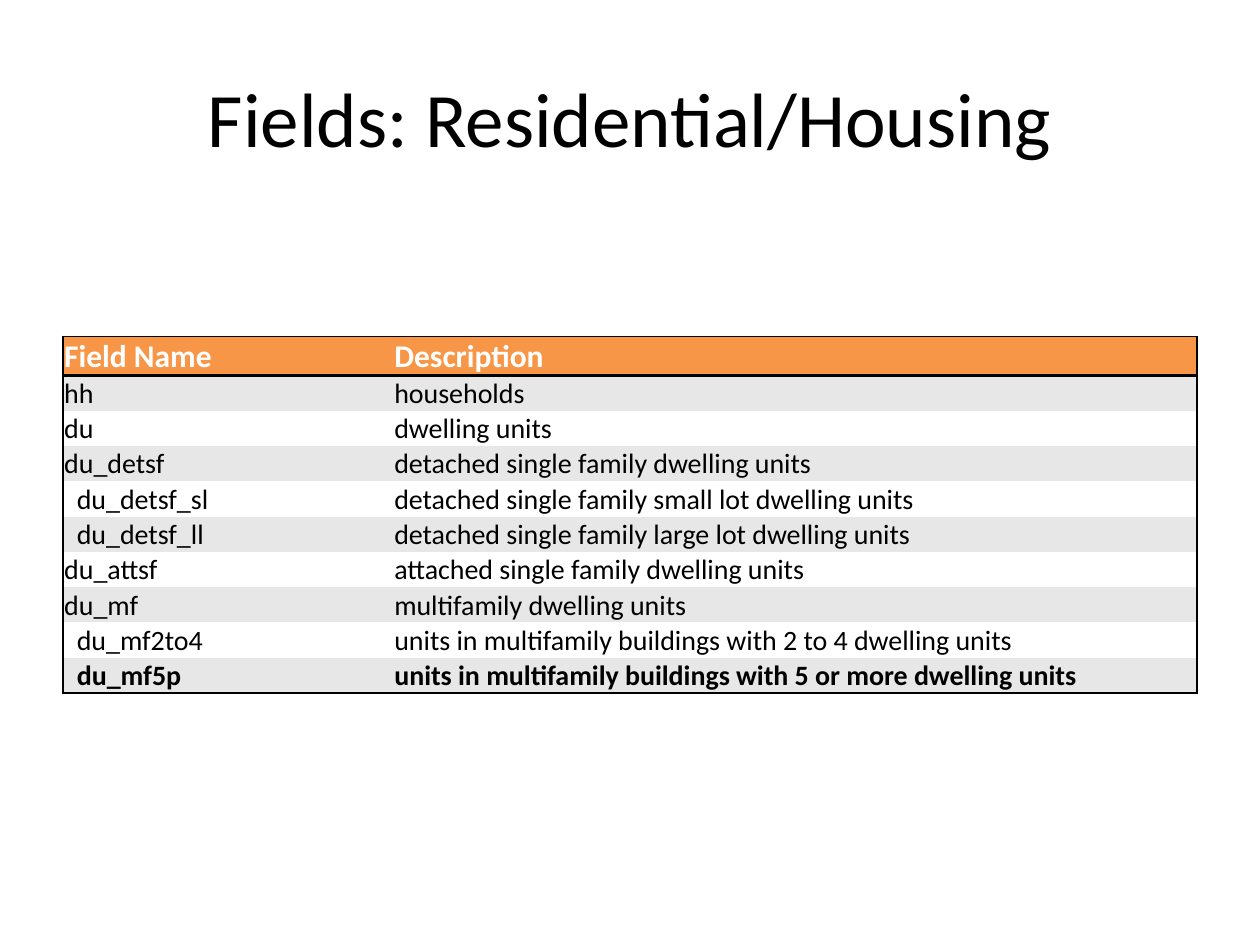
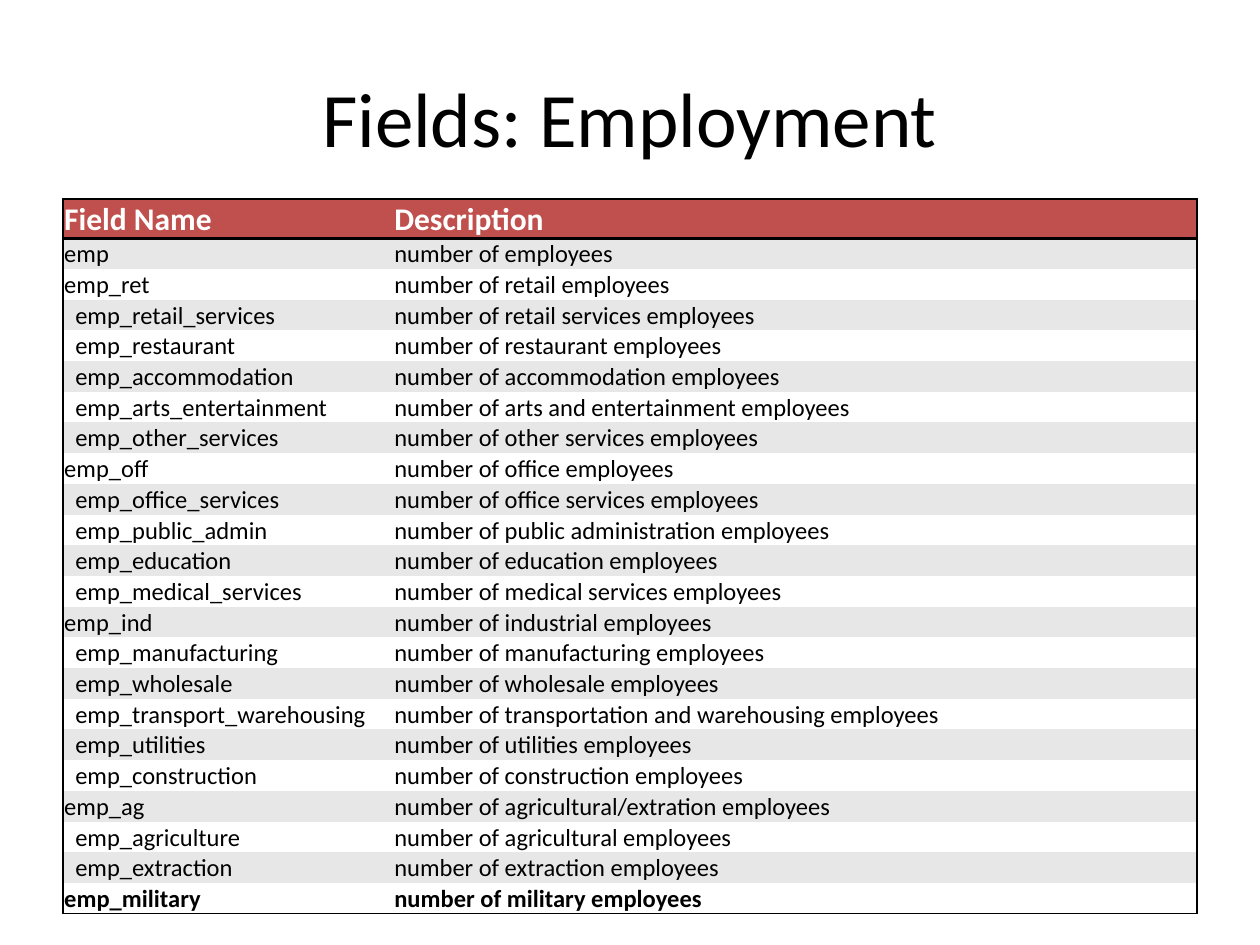
from pptx import Presentation
from pptx.dml.color import RGBColor
from pptx.enum.text import MSO_ANCHOR as Anchor, PP_ALIGN as Align
from pptx.oxml import parse_xml
from pptx.oxml.ns import nsdecls, qn
from pptx.util import Inches, Pt

BLACK, WHITE, BAND = "000000", "FFFFFF", "E7E7E7"
ORANGE, RED = "F79646", "C0504D"
PLAIN_TABLE_STYLE = "{2D5ABB26-0587-4C30-8999-92F81FD0307C}"
COLUMN_WIDTHS = (2.62, 6.38)
HEADINGS = ("Field Name", "Description")

# Each field: indent level, name, description
HOUSING_FIELDS = [
    (0, "hh", "households"),
    (0, "du", "dwelling units"),
    (0, "du_detsf", "detached single family dwelling units"),
    (1, "du_detsf_sl", "detached single family small lot dwelling units"),
    (1, "du_detsf_ll", "detached single family large lot dwelling units"),
    (0, "du_attsf", "attached single family dwelling units"),
    (0, "du_mf", "multifamily dwelling units"),
    (1, "du_mf2to4", "units in multifamily buildings with 2 to 4 dwelling units"),
    (1, "du_mf5p", "units in multifamily buildings with 5 or more dwelling units"),
]
EMPLOYMENT_FIELDS = [
    (level, name, f"number of {group}employees")
    for level, name, group in [
        (0, "emp", ""),
        (0, "emp_ret", "retail "),
        (1, "emp_retail_services", "retail services "),
        (1, "emp_restaurant", "restaurant "),
        (1, "emp_accommodation", "accommodation "),
        (1, "emp_arts_entertainment", "arts and entertainment "),
        (1, "emp_other_services", "other services "),
        (0, "emp_off", "office "),
        (1, "emp_office_services", "office services "),
        (1, "emp_public_admin", "public administration "),
        (1, "emp_education", "education "),
        (1, "emp_medical_services", "medical services "),
        (0, "emp_ind", "industrial "),
        (1, "emp_manufacturing", "manufacturing "),
        (1, "emp_wholesale", "wholesale "),
        (1, "emp_transport_warehousing", "transportation and warehousing "),
        (1, "emp_utilities", "utilities "),
        (1, "emp_construction", "construction "),
        (0, "emp_ag", "agricultural/extration "),
        (1, "emp_agriculture", "agricultural "),
        (1, "emp_extraction", "extraction "),
        (0, "emp_military", "military "),
    ]
]


def rgb(hex_color):
    return RGBColor.from_string(hex_color)


def apply(target, values):
    for name, value in values.items():
        setattr(target, name, value)


class FieldDeck:
    font_name = "Calibri"

    def __init__(self):
        self.prs = Presentation()
        apply(self.prs, {"slide_width": Inches(10), "slide_height": Inches(7.5)})
        self.slide = None

    def new_slide(self):
        self.slide = self.prs.slides.add_slide(self.prs.slide_layouts[6])

    def add_text(self, paragraph, text, size, color, bold=False):
        run = paragraph.add_run()
        run.text = text
        apply(run.font, {"name": self.font_name, "size": Pt(size), "bold": bold})
        run.font.color.rgb = rgb(color)

    def title(self, text):
        box = self.slide.shapes.add_textbox(
            Inches(0.5), Inches(0.3), Inches(9), Inches(1.25))
        apply(box.text_frame, {"word_wrap": True, "vertical_anchor": Anchor.MIDDLE})
        heading = box.text_frame.paragraphs[0]
        heading.alignment = Align.CENTER
        self.add_text(heading, text, 44, BLACK)

    def borders(self, cell, widths):
        """Draw black edges; widths maps L, R, T, B (in that order) to points."""
        properties = cell._tc.get_or_add_tcPr()
        for place, (side, points) in enumerate(widths.items()):
            properties.insert(place, parse_xml(
                f'<a:ln{side} {nsdecls("a")} w="{Pt(points)}"><a:solidFill>'
                f'<a:srgbClr val="{BLACK}"/></a:solidFill></a:ln{side}>'))

    def cell(self, cell, text, fill, edges, indent=0, **text_style):
        apply(cell, {
            "margin_left": Inches(0.01) + indent, "margin_right": Inches(0.01),
            "margin_top": Inches(0.01), "margin_bottom": 0,
            "vertical_anchor": Anchor.BOTTOM,
        })
        cell.fill.solid()
        cell.fill.fore_color.rgb = rgb(fill)
        self.borders(cell, edges)
        self.add_text(cell.text_frame.paragraphs[0], text, **text_style)

    def field_table(self, fields, top, header_fill, size, row_height):
        """Banded table whose last field is bold."""
        last = len(fields)
        table = self.slide.shapes.add_table(
            last + 1, len(HEADINGS), Inches(0.5), Inches(top), Inches(9),
            Inches(0.31 + last * row_height)).table
        apply(table, {"first_row": False, "horz_banding": False})
        table._tbl.tblPr.find(qn("a:tableStyleId")).text = PLAIN_TABLE_STYLE
        for column, width in zip(table.columns, COLUMN_WIDTHS):
            column.width = Inches(width)

        for index, (level, *texts) in enumerate([(0, *HEADINGS), *fields]):
            header = index == 0
            table.rows[index].height = Inches(0.31 if header else row_height)
            fill = header_fill if header else BAND if index % 2 else WHITE
            row_edges = {"T": 1, "B": 2} if header else {"B": 1} if index == last else {}
            for column, (text, side) in enumerate(zip(texts, "LR")):
                self.cell(
                    table.cell(index, column), text, fill, {side: 1, **row_edges},
                    indent=0 if column else level * Pt(size * 0.45),
                    size=18 if header else size,
                    color=WHITE if header else BLACK,
                    bold=header or index == last)


def main():
    deck = FieldDeck()
    for title, *table in [
        ("Fields: Residential/Housing", HOUSING_FIELDS, 2.67, ORANGE, 16, 0.28),
        ("Fields: Employment", EMPLOYMENT_FIELDS, 1.58, RED, 14, 0.24),
    ]:
        deck.new_slide()
        deck.title(title)
        deck.field_table(*table)
    deck.prs.save("out.pptx")


if __name__ == "__main__":
    main()
